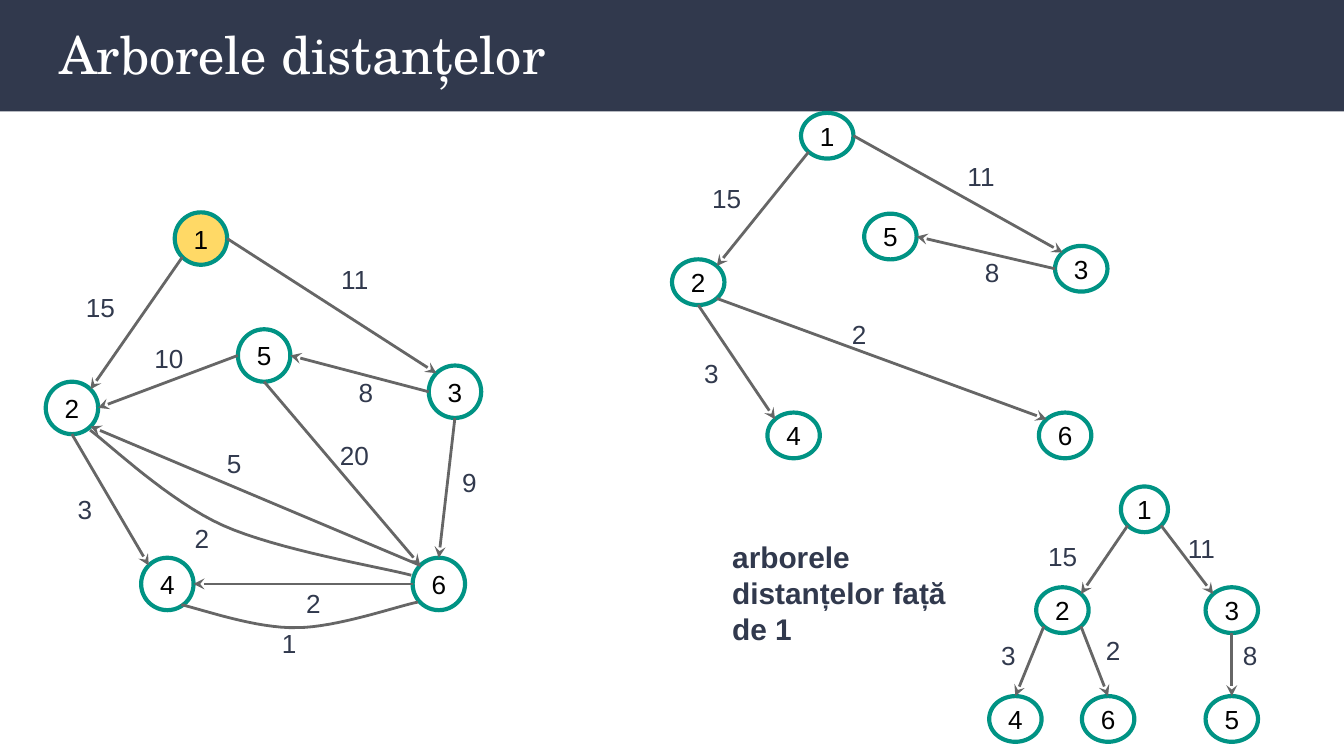
from math import cos, radians, sin

from lxml import etree
from pptx import Presentation, util as u
from pptx.dml.color import RGBColor
from pptx.enum import shapes as sh, text as tx

NS = "http://schemas.openxmlformats.org/drawingml/2006/main"
NAVY, TEAL, GREY = "31394D", "009384", "666666"

prs = Presentation()
prs.slide_width, prs.slide_height = u.Inches(10), u.Inches(5.625)
cell = prs.slide_width // 1000  # the slide is a grid 1000 columns wide
slide = prs.slides.add_slide(prs.slide_layouts[5])
items = slide.shapes


def paint(part, hue):
    """Give a fill, or the fill of a line or a font, one solid colour."""
    part.solid()
    part.fore_color.rgb = RGBColor.from_string(hue)


def write(shape, words, size, hue, inset=10, font="Arial"):
    frame = shape.text_frame
    frame.word_wrap = True
    frame.margin_left = frame.margin_right = inset * cell
    frame.margin_top = frame.margin_bottom = inset * cell
    frame.text = words
    para = frame.paragraphs[0]
    para.font.name, para.font.size = font, u.Pt(size)
    paint(para.font.fill, hue)
    return para


# Header
bar = items.add_shape(sh.MSO_SHAPE.RECTANGLE, 0, 0, prs.slide_width, 83 * cell)
bar.shadow.inherit = False
paint(bar.fill, NAVY)
bar.line.fill.background()
items._spTree.insert(2, bar._element)

title = items.title
title.left, title.top, title.width, title.height = (
    n * cell for n in (34, 6, 932, 68))
para = write(title, "Arborele distanțelor", 28, "FFFFFF", font="TeX Gyre Schola")
para.alignment = tx.PP_ALIGN.LEFT
title.text_frame.vertical_anchor = tx.MSO_ANCHOR.MIDDLE
title.text_frame.auto_size = tx.MSO_AUTO_SIZE.NONE

# Each graph: node height, nodes (left, top), edges (from, to, weight, label spot)
graphs = [
    (39,
     {"1": (130, 158), "2": (34, 284), "5": (177, 245),
      "6": (307, 415), "4": (105, 415), "3": (319, 272)},
     [("1 sw", "2 ne", "15", 54, 207), ("1 e", "3 nw", "11", 244, 186),
      ("5 w", "2 e", "10", 105, 245), ("3 w", "5 e", "8", 257, 270),
      ("3 s", "6 n", "9", 334, 337), ("6 w", "4 e", "2", 218, 427),
      ("6 nw", "2 se", "5", 159, 323), ("2 s", "4 nw", "3", 48, 357),
      ("5 s", "6 nw", "20", 243, 317)]),
    (34,
     {"1": (596, 84), "2": (500, 193), "5": (643, 159),
      "6": (773, 307), "4": (571, 307), "3": (785, 183)},
     [("1 sw", "2 ne", "15", 520, 126), ("1 e", "3 nw", "11", 710, 109),
      ("3 w", "5 e", "8", 723, 181), ("2 se", "6 nw", "2", 624, 227),
      ("2 s", "4 nw", "3", 514, 256)]),
    (34,
     {"1": (834, 362), "2": (771, 437), "5": (897, 518),
      "6": (805, 518), "4": (736, 518), "3": (897, 437)},
     [("1 sw", "2 ne", "15", 770, 392), ("1 se", "3 nw", "11", 874, 386),
      ("3 s", "5 n", "8", 915, 466), ("2 se", "6 n", "2", 813, 462),
      ("2 sw", "4 n", "3", 735, 466)]),
]
sides = ["e", "se", "s", "sw", "w", "nw", "n", "ne"]  # clockwise, 45° apart
labels = [("2", 135, 379), ("1", 200, 457)]  # weights of the two curved edges

for tall, nodes, edges in graphs:
    spots = {}
    for name, (left, top) in nodes.items():
        wide = 35 if (name, left) == ("1", 834) else 39
        node = items.add_shape(sh.MSO_SHAPE.OVAL, left * cell, top * cell,
                               wide * cell, tall * cell)
        node.shadow.inherit = False
        node.fill.background()
        if (name, left) == ("1", 130):  # the source node
            paint(node.fill, "FFD966")
        paint(node.line.fill, TEAL)
        node.line.width = u.Pt(2.25)
        write(node, name, 14, "000000", 2).alignment = tx.PP_ALIGN.CENTER
        node.text_frame.vertical_anchor = tx.MSO_ANCHOR.MIDDLE
        for i, side in enumerate(sides):
            turn = radians(45 * i)
            spots[f"{name} {side}"] = (
                round((left + wide / 2 * (1 + cos(turn))) * cell),
                round((top + tall / 2 * (1 + sin(turn))) * cell))
    for start, end, *label in edges:
        edge = items.add_connector(sh.MSO_CONNECTOR.STRAIGHT,
                                   *spots[start], *spots[end])
        paint(edge.line.fill, GREY)
        edge.line.width = u.Pt(1.5)
        etree.SubElement(edge.line._get_or_add_ln(), f"{{{NS}}}tailEnd",
                         type="stealth")
        etree.SubElement(edge._element.spPr, f"{{{NS}}}effectLst")
        labels.append(label)

# Curved edges: a start point, then Bézier points in threes
curves = [
    [(67, 320), (83, 332), (126, 373), (166, 391),
     (206, 409), (283, 422), (306, 428)],
    [(135, 450), (149, 453), (191, 468), (221, 467),
     (250, 467), (296, 451), (311, 448)],
]
steps = 16
for knots in curves:
    dots = []
    for k in range(0, len(knots) - 1, 3):
        for i in range(1, steps + 1):
            t = i / steps
            shares = (1 - t) ** 3, 3 * t * (1 - t) ** 2, 3 * t * t * (1 - t), t ** 3
            dots.append([round(cell * sum(s * p[axis] for s, p
                                          in zip(shares, knots[k:k + 4])))
                         for axis in (0, 1)])
    path = items.build_freeform(*(n * cell for n in knots[0]))
    path.add_line_segments(dots, close=False)
    curve = path.convert_to_shape()
    curve.shadow.inherit = False
    curve.fill.background()
    paint(curve.line.fill, GREY)
    curve.line.width = u.Pt(1.5)

# Weights and caption
for weight, left, top in labels:
    box = items.add_textbox(left * cell, top * cell, 47 * cell, 44 * cell)
    write(box, weight, 14, NAVY)

box = items.add_textbox(535 * cell, 391 * cell, 204 * cell, 101 * cell)
write(box, "arborele distanțelor față de 1", 16, NAVY).font.bold = True

prs.save("out.pptx")
